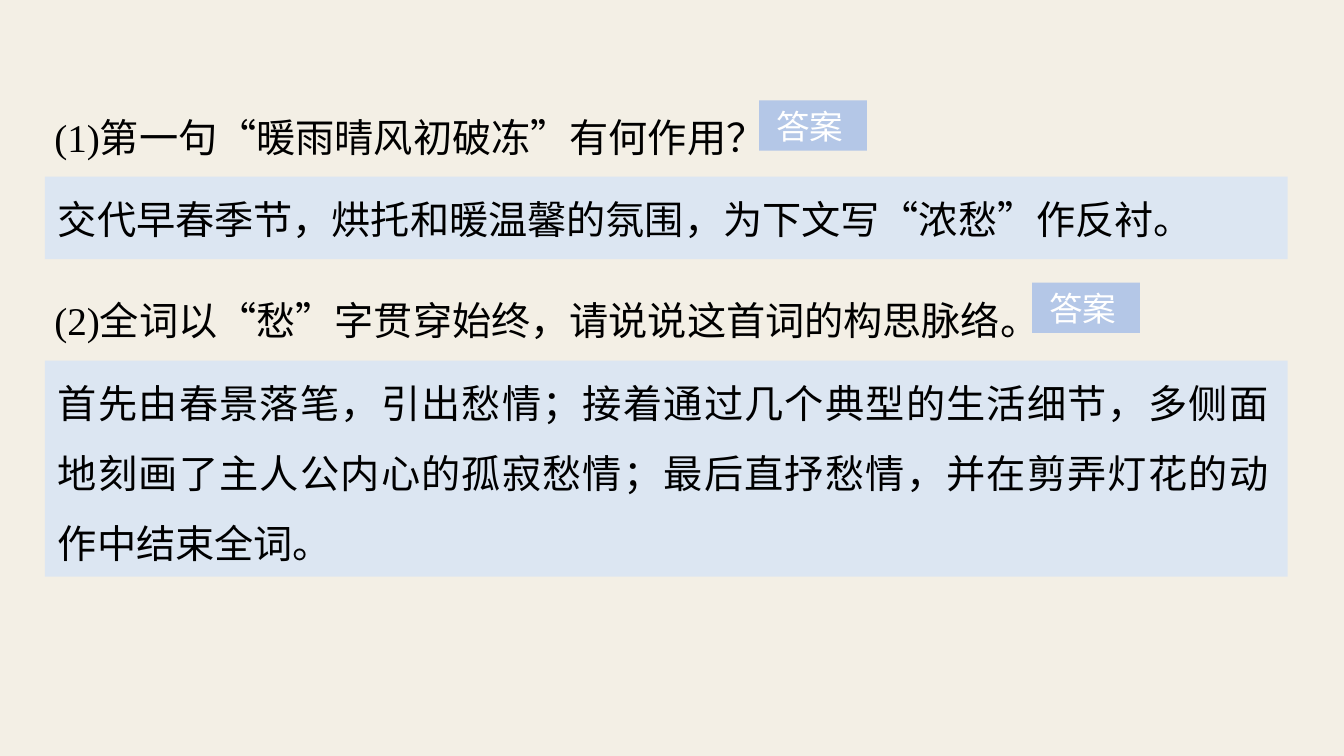
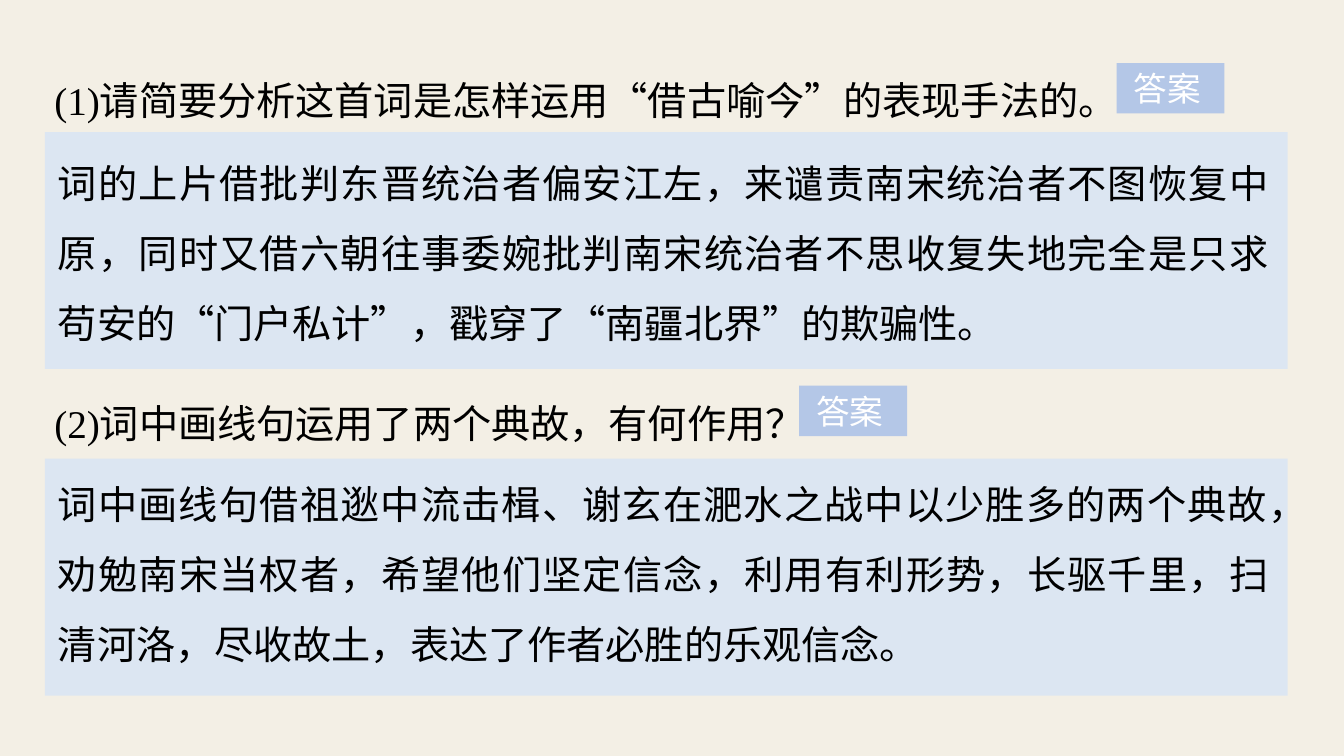
from itertools import groupby

from lxml.etree import SubElement
from pptx import Presentation
from pptx.dml.color import RGBColor
from pptx.enum.lang import MSO_LANGUAGE_ID
from pptx.enum.shapes import MSO_SHAPE
from pptx.enum.text import MSO_ANCHOR, PP_ALIGN
from pptx.oxml.ns import qn
from pptx.util import Cm, Pt

# Shared style
CREAM = RGBColor(0xF3, 0xEF, 0xE5)
PALE_BLUE = RGBColor(0xDC, 0xE6, 0xF2)
LABEL_BLUE = RGBColor(0xB4, 0xC7, 0xE7)
BLACK = RGBColor(0, 0, 0)
WHITE = RGBColor(0xFF, 0xFF, 0xFF)
LATIN_FONT = "Times New Roman"
CHINESE_FONT = "Noto Sans CJK SC"
LABEL_FONT = "Arial"

QUESTION_LEFT, ANSWER_LEFT = 1.04, 1.13
TEXT_WIDTH, PANEL_WIDTH = 31.17, 31.32
LINE_HEIGHT = 1.76
LABEL_DROP = 0.47

# Each exercise: question, its top, label left, answer, panel top, panel height, answer top
EXERCISES = [
    [
        ("(1)第一句“暖雨晴风初破冻”有何作用？", 2.06, 19.13,
         "交代早春季节，烘托和暖温馨的氛围，为下文写“浓愁”作反衬。",
         4.45, 2.08, 4.11),
        ("(2)全词以“愁”字贯穿始终，请说说这首词的构思脉络。", 6.65, 26.01,
         "首先由春景落笔，引出愁情；接着通过几个典型的生活细节，多侧面地刻画了主人公"
         "内心的孤寂愁情；最后直抒愁情，并在剪弄灯花的动作中结束全词。",
         9.09, 5.44, 8.74),
    ],
    [
        ("(1)请简要分析这首词是怎样运用“借古喻今”的表现手法的。", 1.12, 28.14,
         "词的上片借批判东晋统治者偏安江左，来谴责南宋统治者不图恢复中原，同时又借六朝"
         "往事委婉批判南宋统治者不思收复失地完全是只求苟安的“门户私计”，戳穿了"
         "“南疆北界”的欺骗性。",
         3.33, 5.97, 3.2),
        ("(2)词中画线句运用了两个典故，有何作用？", 9.25, 20.14,
         "词中画线句借祖逖中流击楫、谢玄在淝水之战中以少胜多的两个典故，劝勉南宋当权者，"
         "希望他们坚定信念，利用有利形势，长驱千里，扫清河洛，尽收故土，表达了作者必胜的"
         "乐观信念。",
         11.56, 5.97, 11.3),
    ],
]


class ExerciseDeck:
    def __init__(self):
        self.presentation = Presentation()
        self.presentation.slide_width = Cm(33.87)
        self.presentation.slide_height = Cm(19.05)
        self.slide = None

    def add_slide(self):
        self.slide = self.presentation.slides.add_slide(self.presentation.slide_layouts[6])
        fill = self.slide.background.fill
        fill.solid()
        fill.fore_color.rgb = CREAM

    def style_run(self, run, font_name, size, color):
        font = run.font
        font.name, font.size = font_name, Pt(size)
        font.color.rgb = color
        font.language_id = MSO_LANGUAGE_ID.SIMPLIFIED_CHINESE
        SubElement(font._element, qn("a:ea")).set("typeface", CHINESE_FONT)

    def rectangle(self, left, top, width, height, color):
        shape = self.slide.shapes.add_shape(
            MSO_SHAPE.RECTANGLE, Cm(left), Cm(top), Cm(width), Cm(height))
        shape.shadow.inherit = False
        shape.fill.solid()
        shape.fill.fore_color.rgb = color
        shape.line.fill.background()
        return shape

    def body_text(self, text, left, top, lines=1):
        box = self.slide.shapes.add_textbox(
            Cm(left), Cm(top), Cm(TEXT_WIDTH), Cm(lines * LINE_HEIGHT + 0.4))
        frame = box.text_frame
        frame.word_wrap = True
        frame.margin_left = frame.margin_right = Cm(0.33)
        frame.margin_top, frame.margin_bottom = Cm(0.23), Cm(0.18)
        paragraph = frame.paragraphs[0]
        paragraph.alignment = PP_ALIGN.JUSTIFY
        paragraph.line_spacing = Pt(50)
        paragraph._p.get_or_add_pPr().set("hangingPunct", "1")
        # Quotation marks take the Chinese font
        for is_quote, characters in groupby(text, lambda character: character in "“”"):
            run = paragraph.add_run()
            run.text = "".join(characters)
            self.style_run(run, CHINESE_FONT if is_quote else LATIN_FONT, 28, BLACK)

    def answer_label(self, left, top):
        shape = self.rectangle(left, top, 2.72, 1.27, LABEL_BLUE)
        frame = shape.text_frame
        frame.text = "答案"
        frame.vertical_anchor = MSO_ANCHOR.MIDDLE
        frame.margin_left, frame.margin_right = Cm(0.43), Cm(0)
        frame.margin_top = frame.margin_bottom = Cm(0)
        paragraph = frame.paragraphs[0]
        paragraph.alignment = PP_ALIGN.LEFT
        self.style_run(paragraph.runs[0], LABEL_FONT, 24, WHITE)

    def exercise(self, question, question_top, label_left,
                 answer, panel_top, panel_height, answer_top):
        self.body_text(question, QUESTION_LEFT, question_top)
        self.rectangle(ANSWER_LEFT, panel_top, PANEL_WIDTH, panel_height, PALE_BLUE)
        lines = int(panel_height / LINE_HEIGHT)
        self.body_text(answer, ANSWER_LEFT, answer_top, lines)
        self.answer_label(label_left, question_top + LABEL_DROP)


def main():
    deck = ExerciseDeck()
    for exercises in EXERCISES:
        deck.add_slide()
        for exercise in exercises:
            deck.exercise(*exercise)
    deck.presentation.save("out.pptx")


if __name__ == "__main__":
    main()
